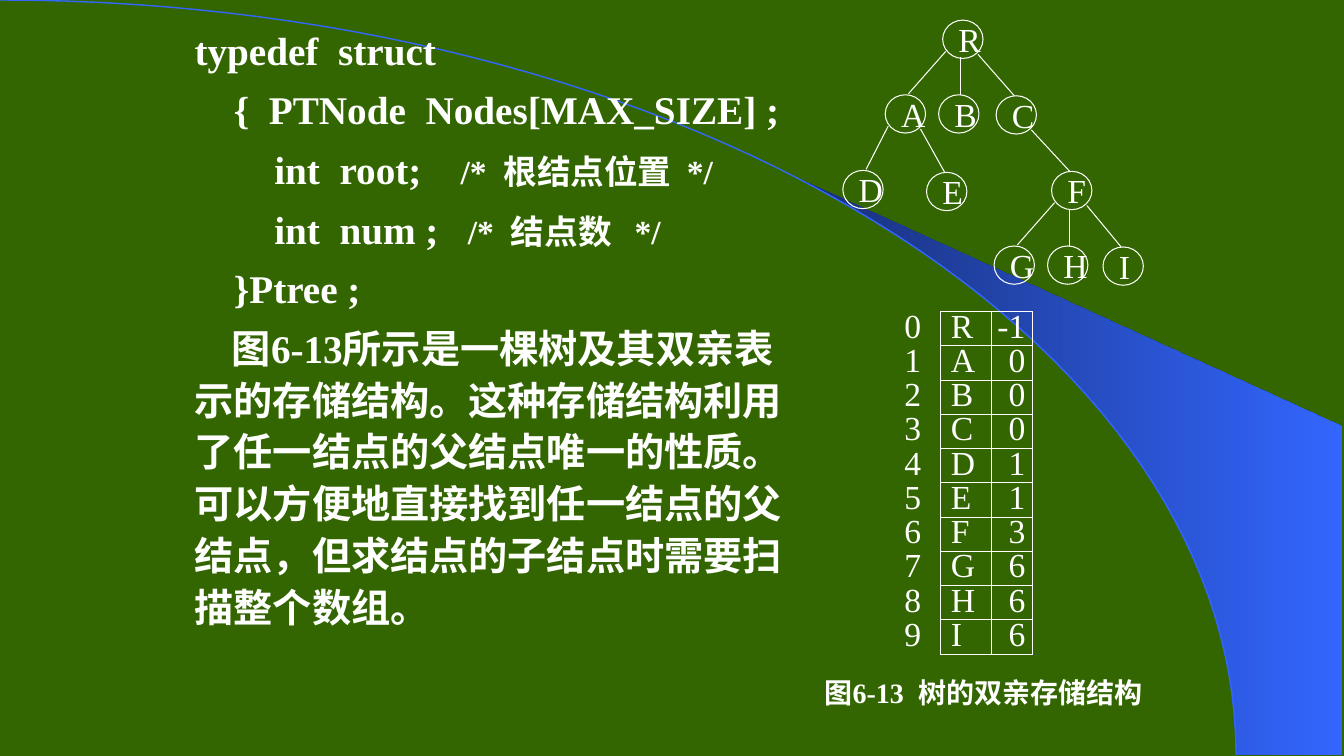
import math
from dataclasses import dataclass

import lxml.etree
import pptx
import pptx.dml.color
import pptx.enum.shapes
import pptx.enum.text
import pptx.oxml
import pptx.oxml.ns
import pptx.util

Inches = pptx.util.Inches
Pt = pptx.util.Pt
qn = pptx.oxml.ns.qn


@dataclass(frozen=True)
class Theme:
    green: str = "336600"
    navy: str = "182F76"
    blue: str = "3366FF"
    white: str = "FFFFFF"
    latin: str = "Times New Roman"
    chinese: str = "Noto Sans CJK SC"
    body: int = 28
    label: int = 24
    caption: int = 20
    hairline: float = 0.75


THEME = Theme()

CODE_LINES = [
    (0, [("typedef  struct", THEME.body)]),
    (0.39, [("{  PTNode  Nodes[MAX_SIZE] ;", THEME.body)]),
    (0.79, [("int  root;    ", THEME.body), ("/*  根结点位置  */", THEME.label)]),
    (0.79, [("int  num ;   ", THEME.body), ("/*  结点数   */", THEME.label)]),
    (0.39, [("}Ptree ;", THEME.body)]),
]
EXPLANATION = (
    "图6-13所示是一棵树及其双亲表示的存储结构。这种存储结构利用了任一结点的父结点唯一的性质。"
    "可以方便地直接找到任一结点的父结点，但求结点的子结点时需要扫描整个数组。"
)
PARENT_ARRAY = [("R", -1), ("A", 0), ("B", 0), ("C", 0), ("D", 1),
                ("E", 1), ("F", 3), ("G", 6), ("H", 6), ("I", 6)]
NODE_CENTRES = {
    "R": (1.19, 0.19), "A": (0.62, 0.93), "B": (1.15, 0.93),
    "C": (1.72, 0.94), "D": (0.2, 1.68), "E": (1.03, 1.7),
    "F": (2.27, 1.69), "G": (1.7, 2.43), "H": (2.23, 2.43), "I": (2.78, 2.44),
}
EDGE_OFFSETS = {
    "left": ((-0.17, 0.12), (0.03, -0.2)),
    "middle": ((-0.02, 0.18), (0.02, -0.19)),
    "right": ((0.15, 0.15), (-0.02, -0.19)),
}


def colour(value):
    return pptx.dml.color.RGBColor.from_string(value)


def add_run(paragraph, text, size, bold=False):
    run = paragraph.add_run()
    run.text = text
    run.font.size = Pt(size)
    run.font.bold = bold
    run.font.color.rgb = colour(THEME.white)
    run.font.name = THEME.latin
    properties = run.font._element if hasattr(run.font, "_element") else run._r.get_or_add_rPr()
    east_asian = lxml.etree.SubElement(properties, qn("a:ea"))
    east_asian.set("typeface", THEME.chinese)


def set_line(line, value, width):
    line.color.rgb = colour(value)
    line.width = Pt(width)


def add_outline(slide, points, close):
    builder = slide.shapes.build_freeform(
        Inches(points[0][0]), Inches(points[0][1]), scale=1.0)
    builder.add_line_segments(
        [(Inches(x), Inches(y)) for x, y in points[1:]], close=close)
    shape = builder.convert_to_shape()
    shape.shadow.inherit = False
    return shape


def add_backdrop(slide, left, top, width, height):
    def arc(start, steps=60):
        angles = [math.radians(start + (90 - start) * step / steps)
                  for step in range(steps + 1)]
        return [(left + width * math.sin(angle), top + height * (1 - math.cos(angle)))
                for angle in angles]

    slide.background.fill.solid()
    slide.background.fill.fore_color.rgb = colour(THEME.green)
    edge = left + 13.31
    wedge = add_outline(slide, arc(39.9) + [(edge, top + height), (edge, top + 4.23)], True)
    wedge.line.fill.background()
    wedge.fill.gradient()
    wedge.fill.gradient_angle = 0
    for stop, value in zip(wedge.fill.gradient_stops, (THEME.navy, THEME.blue)):
        stop.color.rgb = colour(value)
    curve = add_outline(slide, arc(0), False)
    curve.fill.background()
    set_line(curve.line, THEME.blue, 1)


def add_body_paragraph(frame, first, margin, indent, runs):
    paragraph = frame.paragraphs[0] if first else frame.add_paragraph()
    properties = paragraph._p.get_or_add_pPr()
    properties.set("marL", str(Inches(margin)))
    properties.set("indent", str(Inches(indent)))
    lxml.etree.SubElement(properties, qn("a:buNone"))
    paragraph.alignment = pptx.enum.text.PP_ALIGN.LEFT
    paragraph.line_spacing = Pt(37)
    paragraph.space_before = Pt(0 if first else 5.6)
    paragraph.space_after = Pt(0)
    for text, size in runs:
        add_run(paragraph, text, size, bold=True)


def fill_body(body, left, top, width, height):
    body.left, body.top = Inches(left), Inches(top)
    body.width, body.height = Inches(width), Inches(height)
    frame = body.text_frame
    frame.word_wrap = True
    frame.auto_size = pptx.enum.text.MSO_AUTO_SIZE.NONE
    frame.vertical_anchor = pptx.enum.text.MSO_ANCHOR.TOP
    for index, (margin, runs) in enumerate(CODE_LINES):
        add_body_paragraph(frame, index == 0, margin, 0, runs)
    add_body_paragraph(frame, False, 0, 0.37, [(EXPLANATION, THEME.body)])


def add_tree(slide, left, top):
    width, height = 0.4, 0.38
    for name, (x, y) in NODE_CENTRES.items():
        node = slide.shapes.add_shape(
            pptx.enum.shapes.MSO_SHAPE.OVAL, Inches(left + x - width / 2),
            Inches(top + y - height / 2), Inches(width), Inches(height))
        node.shadow.inherit = False
        node.fill.background()
        set_line(node.line, THEME.white, THEME.hairline)
        node.text_frame.word_wrap = False
        node.text_frame.vertical_anchor = pptx.enum.text.MSO_ANCHOR.MIDDLE
        paragraph = node.text_frame.paragraphs[0]
        paragraph.alignment = pptx.enum.text.PP_ALIGN.LEFT
        add_run(paragraph, name, THEME.label)
    for name, parent_index in PARENT_ARRAY[1:]:
        parent_x, parent_y = NODE_CENTRES[PARENT_ARRAY[parent_index][0]]
        x, y = NODE_CENTRES[name]
        side = "middle" if abs(x - parent_x) < 0.1 else "left" if x < parent_x else "right"
        (start_x, start_y), (end_x, end_y) = EDGE_OFFSETS[side]
        edge = slide.shapes.add_connector(
            pptx.enum.shapes.MSO_CONNECTOR.STRAIGHT,
            Inches(left + parent_x + start_x), Inches(top + parent_y + start_y),
            Inches(left + x + end_x), Inches(top + y + end_y))
        set_line(edge.line, THEME.white, THEME.hairline)
        lxml.etree.SubElement(edge._element.spPr, qn("a:effectLst"))


def set_borders(cell, visible_sides):
    properties = cell._tc.get_or_add_tcPr()
    for position, side in enumerate(("lnL", "lnR", "lnT", "lnB")):
        border = lxml.etree.Element(qn("a:" + side), w=str(Pt(THEME.hairline)))
        if side in visible_sides:
            fill = lxml.etree.SubElement(border, qn("a:solidFill"))
            lxml.etree.SubElement(fill, qn("a:srgbClr"), val=THEME.white)
        else:
            lxml.etree.SubElement(border, qn("a:noFill"))
        properties.insert(position, border)


def add_parent_array(slide, left, top, width, height):
    frame = slide.shapes.add_table(len(PARENT_ARRAY), 3, Inches(left), Inches(top),
                                   Inches(width), Inches(height))
    table = frame.table
    table.first_row = table.horz_banding = False
    for column, share in zip(table.columns, (0.46, 0.5, 0.41)):
        column.width = Inches(share)
    for index, (name, parent) in enumerate(PARENT_ARRAY):
        table.rows[index].height = Inches(height / len(PARENT_ARRAY))
        for position, value in enumerate((index, name, parent)):
            cell = table.cell(index, position)
            cell.fill.background()
            cell.margin_left = Inches(0 if position == 2 else 0.1)
            cell.margin_right = Inches(0.07 if position == 2 else 0)
            cell.margin_top = cell.margin_bottom = 0
            cell.vertical_anchor = pptx.enum.text.MSO_ANCHOR.MIDDLE
            paragraph = cell.text_frame.paragraphs[0]
            paragraph.line_spacing = Pt(THEME.label)
            if position == 2:
                paragraph.alignment = pptx.enum.text.PP_ALIGN.RIGHT
            add_run(paragraph, str(value), THEME.label)
            set_borders(cell, ("lnL", "lnR", "lnT", "lnB") if position else ("lnR",))


def add_caption(slide, left, top, width, height):
    box = slide.shapes.add_textbox(Inches(left), Inches(top), Inches(width), Inches(height))
    box.text_frame.word_wrap = True
    box.text_frame.vertical_anchor = pptx.enum.text.MSO_ANCHOR.MIDDLE
    add_run(box.text_frame.paragraphs[0], "图6-13  树的双亲存储结构", THEME.caption, bold=True)


def main():
    presentation = pptx.Presentation()
    presentation.slide_width, presentation.slide_height = Inches(13.33), Inches(7.5)
    slide = presentation.slides.add_slide(presentation.slide_layouts[1])
    title, body = slide.shapes.title, slide.placeholders[1]
    tree = body.element.getparent()
    tree.remove(title.element)
    add_backdrop(slide, 0, 0, 12.26, 7.49)
    tree.append(body.element)
    fill_body(body, 1.83, 0.16, 6.33, 6.27)
    add_tree(slide, 8.36, 0.2)
    add_parent_array(slide, 8.87, 3.09, 1.37, 3.4)
    add_caption(slide, 8.08, 6.67, 3.6, 0.39)
    presentation.save("out.pptx")


if __name__ == "__main__":
    main()
